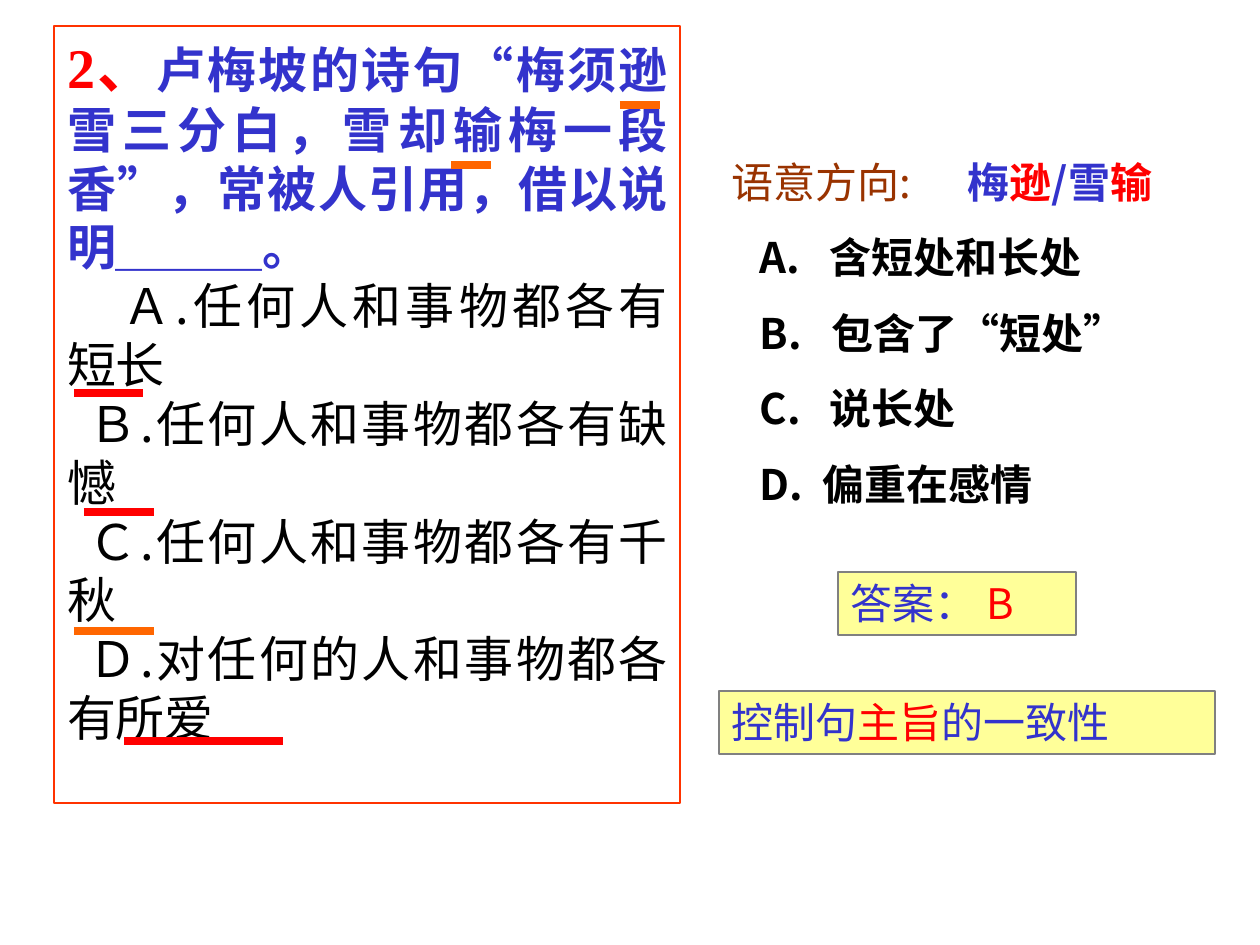
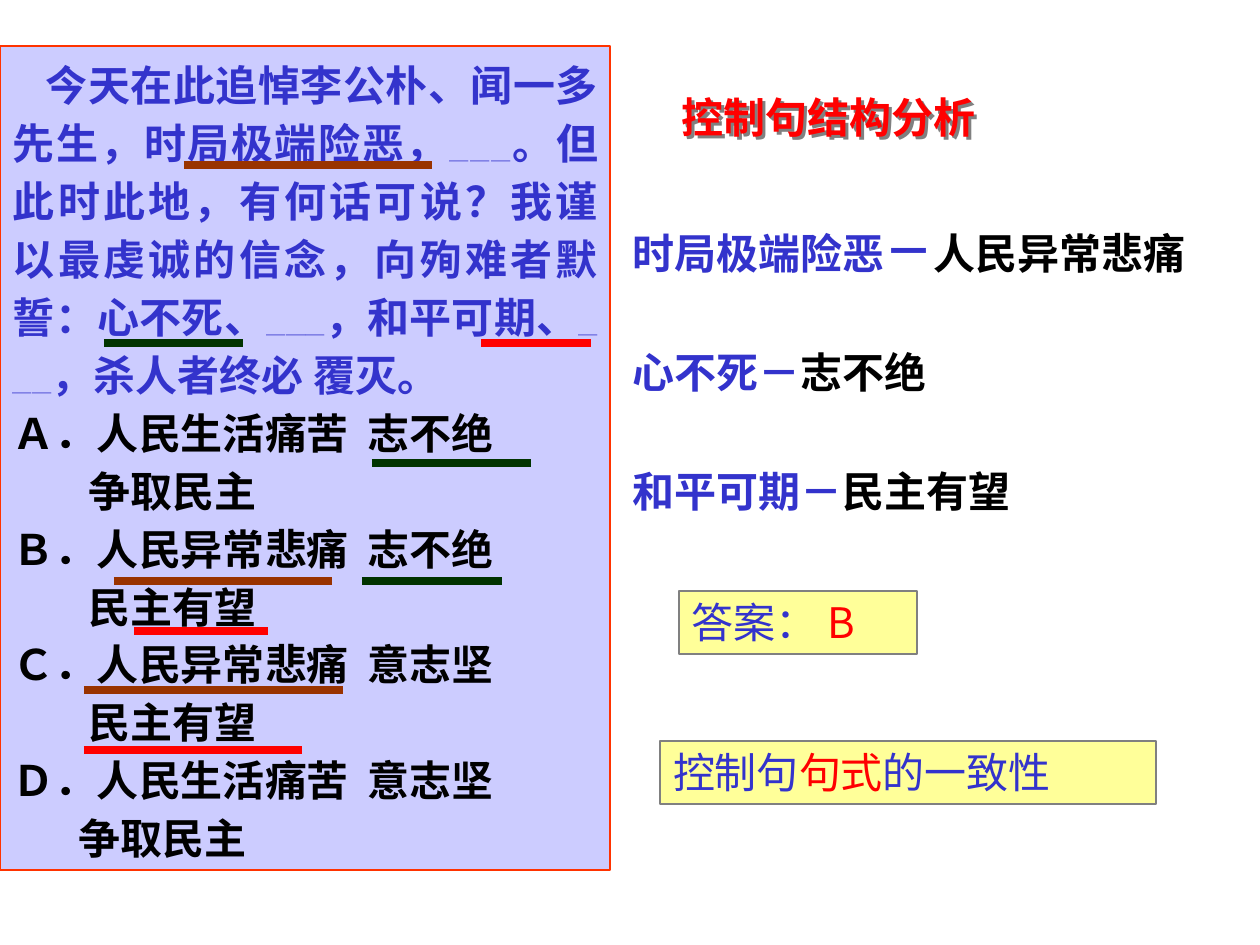
from dataclasses import dataclass
from typing import NamedTuple

from lxml.etree import SubElement
from pptx import Presentation
from pptx.dml.color import RGBColor
from pptx.enum.shapes import MSO_CONNECTOR, MSO_SHAPE
from pptx.enum.text import MSO_ANCHOR, PP_ALIGN
from pptx.oxml import parse_xml
from pptx.oxml.ns import nsdecls, qn
from pptx.util import Pt

HUES = {
    "white": "FFFFFF", "black": "000000", "blue": "3333CC", "red": "FF0000",
    "brown": "993300", "green": "003300", "orange": "FF6600", "edge": "FF3300",
    "lilac": "CCCCFF", "cream": "FFFF99", "gray": "808080",
}
SANS, KANA, SERIF = "Noto Sans CJK SC", "Noto Sans CJK JP", "Times New Roman"
SCALE = 914400 / 126
WIDE, HIGH = 1260, 945
PAD_L, PAD_R, PAD_Y = 13, 12, 6


class Run(NamedTuple):
    """A stretch of text in one style."""
    text: str
    hue: str = "black"
    font: str = SANS
    size: int = 24
    bold: bool = True


class Para(NamedTuple):
    """A paragraph with its first-line indent, tab stops and spacing."""
    runs: list[Run]
    indent: int = 0
    stops: tuple[int, ...] = ()
    space: float = 1
    above: float = 0


@dataclass
class Box:
    """A text panel, bare when it has no fill."""
    left: int
    top: int
    width: int
    height: int
    paras: list[Para]
    fill: str = ""
    edge: str = "gray"
    shade: bool = False


class Mark(NamedTuple):
    """A level stroke under some words."""
    left: int
    top: int
    width: int
    hue: str


def emu(px: float) -> int:
    """Turn px into EMU."""
    return round(px * SCALE)


def tint(name: str) -> RGBColor:
    """Look up a colour."""
    return RGBColor.from_string(HUES[name])


def add_run(para, item: Run) -> None:
    """Add one styled run."""
    run = para.add_run()
    run.text = item.text
    font = run.font
    font.size, font.bold, font.name = Pt(item.size), item.bold, item.font
    font.color.rgb = tint(item.hue)
    east = SANS if item.font == SERIF else item.font
    run._r.get_or_add_rPr().find(qn("a:latin")).addnext(
        parse_xml(f'<a:ea {nsdecls("a")} typeface="{east}"/>'))


def add_para(para, item: Para) -> None:
    """Lay out one paragraph."""
    para.alignment = PP_ALIGN.JUSTIFY
    para.line_spacing = item.space
    para.space_before = Pt(item.above)
    props = para._p.get_or_add_pPr()
    if item.indent:
        props.set("marL", "0")
        props.set("indent", str(emu(item.indent)))
    if item.stops:
        tabs = SubElement(props, qn("a:tabLst"))
        for stop in item.stops:
            SubElement(tabs, qn("a:tab"), pos=str(emu(stop)), algn="l")
    for run in item.runs:
        add_run(para, run)


def add_box(slide, box: Box) -> None:
    """Draw a panel and its text."""
    place = [emu(n) for n in (box.left, box.top, box.width, box.height)]
    if box.fill:
        shape = slide.shapes.add_shape(MSO_SHAPE.RECTANGLE, *place)
        shape.shadow.inherit = False
        shape.fill.solid()
        shape.fill.fore_color.rgb = tint(box.fill)
        shape.line.color.rgb = tint(box.edge)
        shape.line.width = Pt(0.75)
    else:
        shape = slide.shapes.add_textbox(*place)
    if box.shade:
        shape._element.spPr.append(parse_xml(
            f'<a:effectLst {nsdecls("a")}><a:outerShdw dist="{emu(3)}" dir="2700000">'
            f'<a:srgbClr val="{HUES["gray"]}"/></a:outerShdw></a:effectLst>'))
    frame = shape.text_frame
    frame.word_wrap = True
    frame.vertical_anchor = MSO_ANCHOR.TOP
    frame.margin_left, frame.margin_right = emu(PAD_L), emu(PAD_R)
    frame.margin_top = frame.margin_bottom = emu(PAD_Y)
    for i, item in enumerate(box.paras):
        add_para(frame.add_paragraph() if i else frame.paragraphs[0], item)


def add_mark(slide, mark: Mark) -> None:
    """Draw a stroke."""
    y = emu(mark.top)
    line = slide.shapes.add_connector(
        MSO_CONNECTOR.STRAIGHT, emu(mark.left), y, emu(mark.left + mark.width), y)
    line.line.color.rgb = tint(mark.hue)
    line.line.width = Pt(4.25)
    SubElement(line._element.spPr, qn("a:effectLst"))


def reply(left: int, top: int) -> Box:
    """Make the answer label."""
    runs = [Run("答案： ", "blue", KANA, bold=False), Run("B", "red", KANA, bold=False)]
    return Box(left, top, 238, 63, [Para(runs)], "cream")


def rule(left: int, top: int, key: str) -> Box:
    """Make the label that names the rule."""
    parts = (("控制句", "blue"), (key, "red"), ("的一致性", "blue"))
    runs = [Run(text, hue, SERIF, bold=False) for text, hue in parts]
    return Box(left, top, 496, 63, [Para(runs)], "cream")


def poem() -> tuple[list[Box], list[Mark]]:
    """List the parts of the poem slide."""
    ask = Para([
        Run("2、", "red", SERIF, 32),
        Run("卢梅坡的诗句“梅须逊雪三分白，雪却输梅一段香”，常被人引用，借以说明", "blue", size=28),
        Run("＿＿＿", "blue", size=28, bold=False),
        Run("。", "blue", size=28)])
    picks = [("Ａ.任何人和事物都各有短长", 55), ("Ｂ.任何人和事物都各有缺憾", 22),
             ("Ｃ.任何人和事物都各有千秋", 22), ("Ｄ.对任何的人和事物都各有所爱", 22)]
    left = [ask] + [Para([Run(text, size=28, bold=False)], dent) for text, dent in picks]
    head = Para([
        Run("语意方向:\t", "brown", KANA, bold=False), Run("梅", "blue", SERIF),
        Run("逊", "red", SERIF), Run("/", "blue", KANA),
        Run("雪", "blue", SERIF), Run("输", "red", SERIF)], stops=(236,), space=1.5)
    notes = [("A.\t含短处和长处", 98), ("B.\t包含了“短处”", 100),
             ("C.\t说长处", 98), ("D.\t偏重在感情", 91)]
    right = [head] + [Para([Run("\t" + text)], stops=(28, stop), space=1.5)
                      for text, stop in notes]
    boxes = [Box(54, 26, 626, 777, left, "white", "edge"), rule(719, 691, "主旨"),
             reply(838, 572), Box(719, 125, 515, 391, right)]
    marks = [Mark(620, 105, 40, "orange"), Mark(451, 165, 40, "orange"),
             Mark(74, 393, 69, "red"), Mark(74, 631, 80, "orange"),
             Mark(84, 512, 70, "red"), Mark(124, 741, 159, "red")]
    return boxes, marks


def speech() -> tuple[list[Box], list[Mark]]:
    """List the parts of the speech slide."""
    parts = ("今天在此追悼李公朴、闻一多先生，时局极端险恶，",
             "。但此时此地，有何话可说？我谨以最虔诚的信念，向殉难者默誓：心不死、",
             "，和平可期、", "，杀人者终必 覆灭。")
    gap = Run("＿＿＿", "blue", size=11, bold=False)
    runs = [Run(parts[0], "blue", SERIF)]
    for part in parts[1:]:
        runs += [gap, Run(part, "blue", SERIF)]
    left = [Para(runs, 33, space=1.15)]
    picks = [("Ａ．人民生活痛苦\t志不绝", "争取民主", 76), ("Ｂ．人民异常悲痛\t志不绝", "民主有望", 76),
             ("Ｃ．人民异常悲痛\t意志坚", "民主有望", 76), ("Ｄ．人民生活痛苦\t意志坚", "争取民主", 66)]
    for first, last, dent in picks:
        left += [Para([Run(first, font=SERIF)], stops=(355,), space=1.15),
                 Para([Run(last, font=SERIF)], dent, space=1.15)]
    pairs = [("时局极端险恶", 28, "人民异常悲痛"), ("心不死", 24, "志不绝"), ("和平可期", 24, "民主有望")]
    right = [Para([Run(one, "blue", SERIF), Run("－", "blue", SERIF, size), Run(two)],
                  space=1.5, above=24.3 if i else 0)
             for i, (one, size, two) in enumerate(pairs)]
    title = Para([Run("控制句结构分析", "red")])
    boxes = [Box(0, 46, 610, 824, left, "lilac", "edge"), rule(660, 741, "句式"),
             reply(679, 591), Box(620, 185, 605, 339, right),
             Box(669, 86, 358, 63, [title], shade=True)]
    marks = [Mark(184, 165, 248, "brown"), Mark(481, 343, 110, "red"),
             Mark(104, 343, 139, "green"), Mark(372, 463, 159, "green"),
             Mark(114, 581, 218, "brown"), Mark(84, 750, 218, "red"),
             Mark(134, 631, 134, "red"), Mark(362, 581, 140, "green"),
             Mark(84, 690, 259, "brown")]
    return boxes, marks


def main() -> None:
    """Build the deck."""
    deck = Presentation()
    deck.slide_width, deck.slide_height = emu(WIDE), emu(HIGH)
    for boxes, marks in (poem(), speech()):
        slide = deck.slides.add_slide(deck.slide_layouts[6])
        for box in boxes:
            add_box(slide, box)
        for mark in marks:
            add_mark(slide, mark)
    deck.save("out.pptx")


if __name__ == "__main__":
    main()
